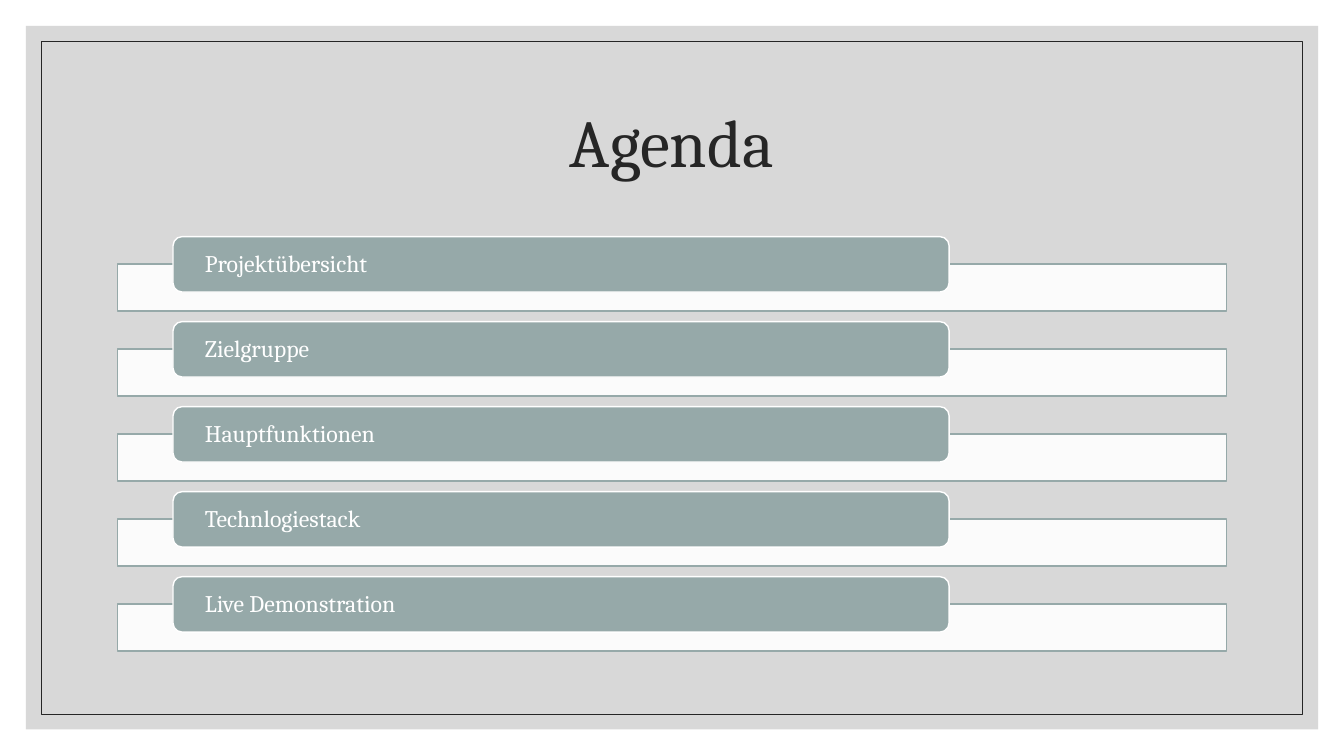
from lxml import etree
from pptx import Presentation
from pptx.dml.color import RGBColor
from pptx.enum.shapes import MSO_SHAPE
from pptx.enum.text import MSO_ANCHOR, PP_ALIGN
from pptx.oxml.ns import qn
from pptx.util import Pt

RECTANGLE = MSO_SHAPE.RECTANGLE
ROUNDED = MSO_SHAPE.ROUNDED_RECTANGLE
MIDDLE = MSO_ANCHOR.MIDDLE
LEFT, CENTER = PP_ALIGN.LEFT, PP_ALIGN.CENTER

FONT = "Cambria"
COLORS = {"frame": "BFBFBF", "ink": "262626", "sage": "96A9A9", "white": "FFFFFF"}
TOPICS = ["Projektübersicht", "Zielgruppe", "Hauptfunktionen", "Technlogiestack", "Live Demonstration"]


def color(name):
    return RGBColor.from_string(COLORS[name])


def add_panel(page, kind, box, fill=None, opacity=100, line=None, line_width=1):
    panel = page.shapes.add_shape(kind, *(Pt(length) for length in box))
    panel.shadow.inherit = False
    if fill:
        panel.fill.solid()
        panel.fill.fore_color.rgb = color(fill)
        if opacity < 100:
            tint = panel.fill._xPr.find(qn("a:solidFill"))[0]
            etree.SubElement(tint, qn("a:alpha"), val=str(opacity * 1000))
    else:
        panel.fill.background()
    if line:
        panel.line.color.rgb = color(line)
        panel.line.width = Pt(line_width)
    else:
        panel.line.fill.background()
    return panel


def write_text(shape, text, size, ink, alignment, inset):
    frame = shape.text_frame
    frame.word_wrap = True
    frame.vertical_anchor = MIDDLE
    frame.margin_left = frame.margin_right = Pt(inset)
    frame.margin_top = frame.margin_bottom = 0
    para = frame.paragraphs[0]
    para.alignment = alignment
    para.line_spacing = 0.9
    span = para.add_run()
    span.text = text
    span.font.name = FONT
    span.font.size = Pt(size)
    span.font.color.rgb = color(ink)


def add_frame(page, box):
    left, top, width, height = box
    gap = 11
    inner = (left + gap, top + gap, width - 2 * gap, height - 2 * gap)
    add_panel(page, RECTANGLE, box, fill="frame", opacity=60)
    add_panel(page, RECTANGLE, inner, line="ink", line_width=0.5)


def add_title(page, box, text):
    title = page.shapes.title
    title.left, title.top, title.width, title.height = (Pt(length) for length in box)
    write_text(title, text, 48, "ink", CENTER, 7.2)
    title.element.getparent().append(title.element)


def add_agenda(page, box, topics):
    left, top, width, height = box
    label_height, bar_height, bar_drop = 39.6, 33.8, 19.5
    pitch = (height - bar_drop - bar_height) / (len(topics) - 1)
    for index, topic in enumerate(topics):
        row_top = top + index * pitch
        bar = (left, row_top + bar_drop, width, bar_height)
        add_panel(page, RECTANGLE, bar, fill="white", opacity=90, line="sage")
        label_box = (left + width * 0.05, row_top, width * 0.7, label_height)
        label = add_panel(page, ROUNDED, label_box, fill="sage", line="white")
        write_text(label, topic, 17, "white", LEFT, 20.9)


def build_agenda_page(deck):
    page = deck.slides.add_slide(deck.slide_layouts[5])
    add_frame(page, (18.5, 18.5, 923, 502.5))
    add_title(page, (84, 50.4, 792, 108), "Agenda")
    add_agenda(page, (84, 169, 792, 296.2), TOPICS)


def main():
    deck = Presentation()
    deck.slide_width, deck.slide_height = Pt(960), Pt(540)
    build_agenda_page(deck)
    deck.save("out.pptx")


if __name__ == "__main__":
    main()
